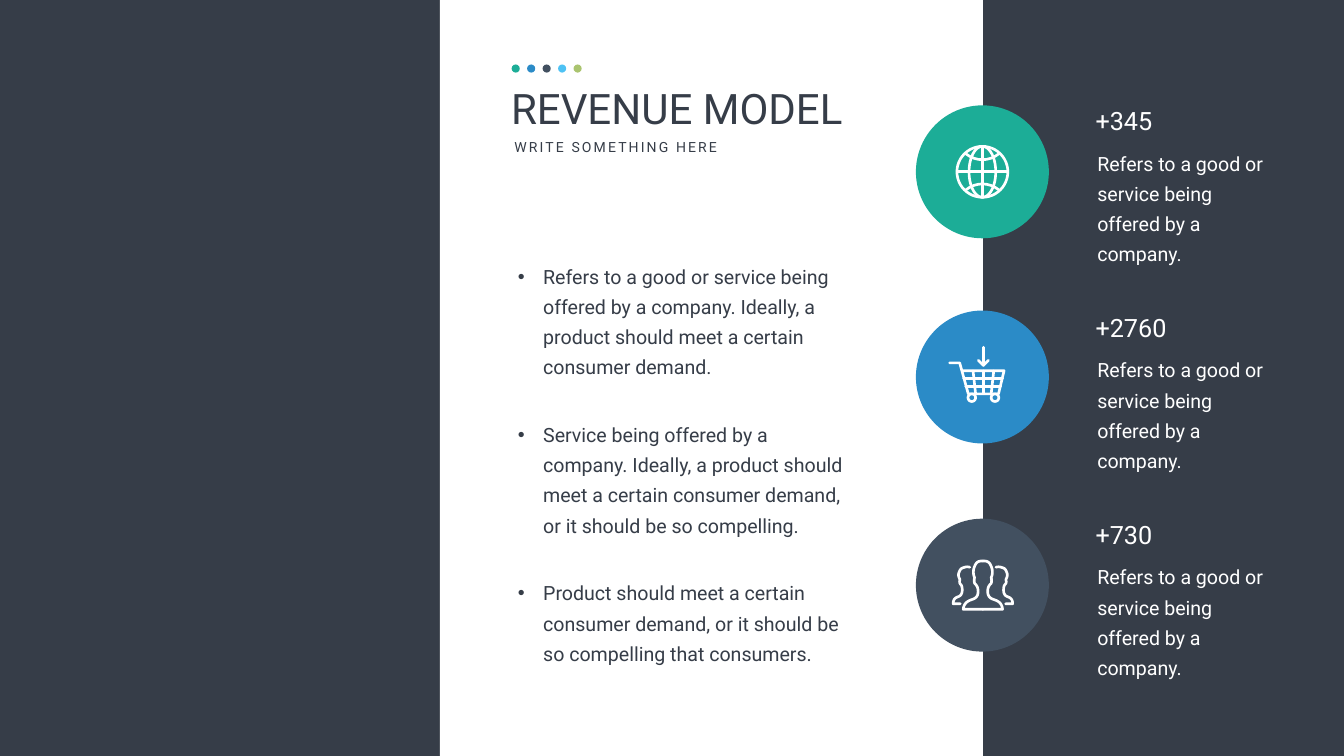
"""Build the revenue model slide."""
from math import cos, pi, sin

from lxml import etree
from pptx import Presentation
from pptx import util as u
from pptx.dml.color import RGBColor
from pptx.enum import shapes, text
from pptx.oxml.ns import qn

THEME = {
    "font": "Roboto", "bullet_font": "Arial",
    "dark": "363D48", "white": "FFFFFF", "teal": "1CAD97", "blue": "2B8BC7",
    "slate": "425060", "sky": "4EC2F4", "olive": "AAC46F",
    "title": 60, "subtitle": 20, "number": 36, "body": 28,
    "leading": 43, "gap": 54, "tracking": 300, "stroke": 3.8,
}
TITLE = "REVENUE MODEL"
SUBTITLE = "WRITE SOMETHING HERE"
DOTS = ["teal", "blue", "slate", "sky", "olive"]
BULLETS = [
    "Refers to a good or service being offered by a company. Ideally, a product "
    "should meet a certain consumer demand.",
    "Service being offered by a company. Ideally, a product should meet a certain "
    "consumer demand, or it should be so compelling.",
    "Product should meet a certain consumer demand, or it should be so compelling "
    "that consumers.",
]
NOTE = "Refers to a good or service being offered by a company."

LATITUDE = [(-33, -36), (-13, -20), (13, -20), (33, -36)]
GLOBE = [
    ("ring", (0, 0, 50.5, 50.5)), ("ring", (0, 0, 26.5, 50.5)),
    ("line", [(0, -50), (0, 50)]), ("line", [(-50, 0), (50, 0)]),
    ("curve", LATITUDE), ("curve", [(x, -y) for x, y in LATITUDE]),
]
CART = [
    ("line", [(-65, -28), (-45, -28), (-28, 33.5), (32, 33.5), (43, -12.5), (-41, -12.5)]),
    ("line", [(-37, 2.5), (40, 2.5)]), ("line", [(-33, 18.5), (36, 18.5)]),
    ("line", [(-18.5, -12), (-13.5, 33)]), ("line", [(2, -12), (2, 33)]),
    ("line", [(22.5, -12), (17.5, 33)]),
    ("ring", (-21, 41, 7.5, 7.5)), ("ring", (25, 41, 7.5, 7.5)),
    ("line", [(2, -59), (2, -23)]), ("line", [(-8, -33), (2, -23), (12, -33)]),
]
FRONT = [
    (0, -48), (8, -48), (13, -47), (17, -36), (20, -28), (19, -20), (16.5, -15),
    (18, -9), (17, -4), (16, -3), (13, 0), (9.5, 3), (9.5, 13), (9.5, 24), (17, 27),
    (21.5, 28.5), (29, 31), (38, 35), (39, 48), (39, 48), (0, 48), (0, 48),
]
BACK = [
    (26, -35.5), (29, -36.5), (33, -37), (39, -34.5), (44, -33), (45, -31), (47.5, -25),
    (50, -19), (47, -14), (45.5, -11), (47, -6), (46, -4), (45, -2.5), (42, 0), (41, 4),
    (41, 10), (41, 19), (46, 22), (49, 23), (55, 25), (59, 28), (59, 37), (59, 37),
    (45, 37), (45, 37),
]
PEOPLE = [("curve", [(1 + side * x, y) for x, y in half])
          for half in (FRONT, BACK) for side in (1, -1)]
BADGES = [
    ("+345", "teal", 8.66, GLOBE),
    ("+2760", "blue", 19.0, CART),
    ("+730", "slate", 29.49, PEOPLE),
]
BADGE_X, BADGE_SIZE = 49.5, 6.7
NUMBER_TOP, NUMBER_STEP = 5.2, 10.43
ICON_UNIT = 0.0254


def color(name):
    return RGBColor.from_string(THEME[name])


def add_text(slide, paragraphs, box, size, fill="dark", inset=(0.25, 0.13),
             leading=None, gap=0, tracking=None, bullet=False, wrap=True):
    tf = slide.shapes.add_textbox(*map(u.Cm, box)).text_frame
    tf.word_wrap = wrap
    tf.auto_size = text.MSO_AUTO_SIZE.NONE
    tf.margin_left = tf.margin_right = u.Cm(inset[0])
    tf.margin_top = tf.margin_bottom = u.Cm(inset[1])
    for i, content in enumerate(paragraphs):
        p = tf.add_paragraph() if i else tf.paragraphs[0]
        if leading:
            p.line_spacing = u.Pt(leading)
        if i and gap:
            p.space_before = u.Pt(gap)
        if bullet:
            pPr = p._p.get_or_add_pPr()
            pPr.set("marL", str(u.Cm(1.27)))
            pPr.set("indent", str(-u.Cm(1.27)))
            etree.SubElement(pPr, qn("a:buFont")).set("typeface", THEME["bullet_font"])
            etree.SubElement(pPr, qn("a:buChar")).set("char", "•")
        r = p.add_run()
        r.text = content
        r.font.name, r.font.size = THEME["font"], u.Pt(THEME[size])
        r.font.color.rgb = color(fill)
        if tracking:
            r._r.get_or_add_rPr().set("spc", str(tracking))


def add_solid(slide, kind, box, fill):
    sp = slide.shapes.add_shape(kind, *map(u.Cm, box))
    sp.shadow.inherit = False
    sp.fill.solid()
    sp.fill.fore_color.rgb = color(fill)
    sp.line.fill.background()


def bezier(points, steps=8):
    curve = [points[0]]
    for i in range(0, len(points) - 1, 3):
        a, b, c, d = points[i:i + 4]
        for t in (n / steps for n in range(1, steps + 1)):
            s = 1 - t
            weights = (s ** 3, 3 * s * s * t, 3 * s * t * t, t ** 3)
            curve.append(tuple(sum(w * q[k] for w, q in zip(weights, (a, b, c, d)))
                               for k in (0, 1)))
    return curve


def ring(data, steps=48):
    x, y, rx, ry = data
    angles = [2 * pi * n / steps for n in range(steps + 1)]
    return [(x + rx * cos(a), y + ry * sin(a)) for a in angles]


def add_icon(slide, strokes, cx, cy):
    trace = {"line": list, "curve": bezier, "ring": ring}
    paths = [[(u.Cm(cx + x * ICON_UNIT), u.Cm(cy + y * ICON_UNIT))
              for x, y in trace[kind](data)] for kind, data in strokes]
    builder = slide.shapes.build_freeform(*paths[0][0])
    for i, points in enumerate(paths):
        if i:
            builder.move_to(*points[0])
        builder.add_line_segments(points[1:], close=False)
    sp = builder.convert_to_shape()
    sp.shadow.inherit = False
    sp.fill.background()
    sp.line.color.rgb = color("white")
    sp.line.width = u.Pt(THEME["stroke"])
    ln = sp.line._get_or_add_ln()
    ln.set("cap", "rnd")
    etree.SubElement(ln, qn("a:round"))


def main():
    prs = Presentation()
    prs.slide_width, prs.slide_height = u.Cm(67.72), u.Cm(38.1)
    slide = prs.slides.add_slide(prs.slide_layouts[6])
    slide.background.fill.solid()
    slide.background.fill.fore_color.rgb = color("dark")
    add_solid(slide, shapes.MSO_SHAPE.RECTANGLE, (22.17, 0, 27.36, 38.1), "white")

    for i, fill in enumerate(DOTS):
        add_solid(slide, shapes.MSO_SHAPE.OVAL, (25.78 + 0.78 * i, 3.25, 0.41, 0.41), fill)
    add_text(slide, [TITLE], (25.5, 4.04, 22.05, 2.82), "title")
    add_text(slide, [SUBTITLE], (25.67, 6.86, 11.05, 1.12), "subtitle",
             tracking=THEME["tracking"], wrap=False)
    add_text(slide, BULLETS, (25.49, 12.72, 18.24, 21.34), "body", inset=(0.61, 0.3),
             leading=THEME["leading"], gap=THEME["gap"], bullet=True)

    for i, (number, fill, cy, icon) in enumerate(BADGES):
        half = BADGE_SIZE / 2
        add_solid(slide, shapes.MSO_SHAPE.OVAL,
                  (BADGE_X - half, cy - half, BADGE_SIZE, BADGE_SIZE), fill)
        add_icon(slide, icon, BADGE_X, cy)
        top = NUMBER_TOP + NUMBER_STEP * i
        add_text(slide, [number], (54.95, top, 7.67, 1.8), "number", "white")
        add_text(slide, [NOTE], (54.68, top + 1.8, 10.36, 5.08), "body", "white",
                 inset=(0.61, 0.3), leading=THEME["leading"])
    prs.save("out.pptx")


if __name__ == "__main__":
    main()
